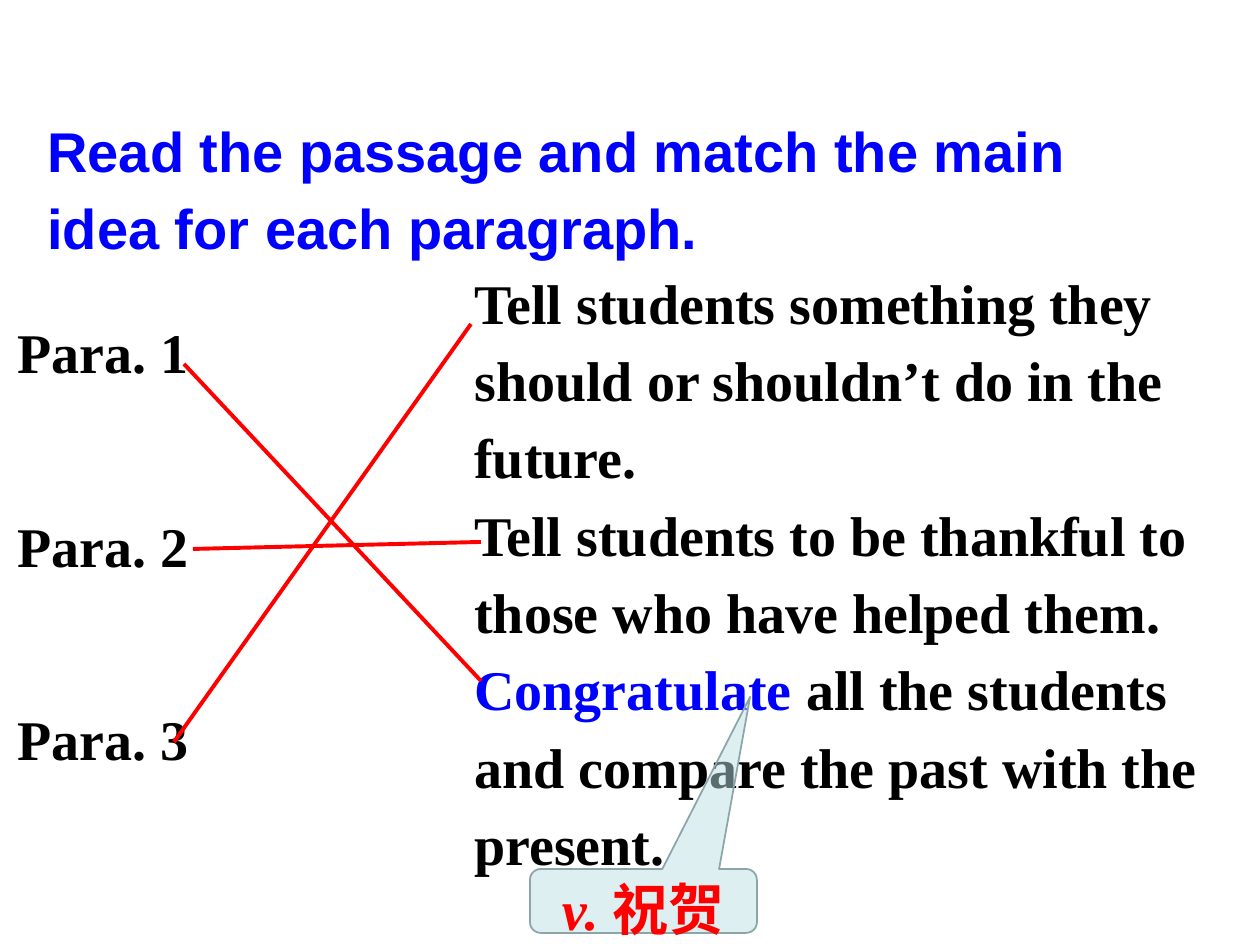
import dataclasses
import typing

import lxml.etree
import pptx
import pptx.dml.color
import pptx.enum.shapes
import pptx.enum.text
import pptx.oxml.ns
import pptx.util

PX = 914400 // 126
BLUE = pptx.dml.color.RGBColor(0x00, 0x00, 0xFF)
BLACK = pptx.dml.color.RGBColor(0x00, 0x00, 0x00)
RED = pptx.dml.color.RGBColor(0xFF, 0x00, 0x00)
PALE_TEAL = pptx.dml.color.RGBColor(0xBB, 0xE0, 0xE3)
GREY_TEAL = pptx.dml.color.RGBColor(0x8A, 0xA6, 0xA8)
ANCHOR = pptx.enum.text.MSO_ANCHOR
SERIF = "Times New Roman"


class TextRun(typing.NamedTuple):
    text: str
    color: pptx.dml.color.RGBColor = BLACK
    italic: bool = False


@dataclasses.dataclass
class TextBlock:
    left: int
    top: int
    width: int
    height: int
    paragraphs: list[list[TextRun]]
    font_name: str = SERIF
    line_spacing: float = 1.15
    gap_points: int = 0
    frame_format: dict = dataclasses.field(default_factory=dict)


class MatchLine(typing.NamedTuple):
    start_x: int
    start_y: int
    end_x: int
    end_y: int


TEXT_BLOCKS = [
    TextBlock(35, 100, 1166, 156,
              [[TextRun("Read the passage and match the main idea for each paragraph.", BLUE)]],
              font_name="Arial"),
    TextBlock(462, 265, 798, 605, [
        [TextRun("Tell students something they should or shouldn’t do in the future.")],
        [TextRun("Tell students to be thankful to those who have helped them.")],
        [TextRun("Congratulate ", BLUE),
         TextRun("all the students and compare the past with the present.")],
    ], frame_format={"vertical_anchor": ANCHOR.MIDDLE}),
    TextBlock(5, 305, 221, 484,
              [[TextRun(f"Para. {number}")] for number in (1, 2, 3)],
              line_spacing=1.0, gap_points=72, frame_format={"margin_top": 13 * PX}),
]

MATCH_LINES = [
    MatchLine(184, 364, 481, 681),
    MatchLine(193, 549, 481, 542),
    MatchLine(174, 742, 471, 324),
]


def set_attributes(target: typing.Any, values: dict) -> None:
    for name, value in values.items():
        setattr(target, name, value)


def write_text(text_frame, block: TextBlock, paragraph_format: dict) -> None:
    set_attributes(text_frame, {"word_wrap": True, **block.frame_format})
    for index, runs in enumerate(block.paragraphs):
        paragraph = text_frame.add_paragraph() if index else text_frame.paragraphs[0]
        set_attributes(paragraph, {"line_spacing": block.line_spacing, **paragraph_format})
        if index and block.gap_points:
            paragraph.space_before = pptx.util.Pt(block.gap_points)
        for text_run in runs:
            run = paragraph.add_run()
            run.text = text_run.text
            set_attributes(run.font, {
                "name": block.font_name,
                "size": pptx.util.Pt(32),
                "bold": True,
                "italic": text_run.italic,
            })
            run.font.color.rgb = text_run.color


def draw_text_block(slide, block: TextBlock) -> None:
    shape = slide.shapes.add_textbox(
        block.left * PX, block.top * PX, block.width * PX, block.height * PX)
    write_text(shape.text_frame, block, {})


def draw_match_line(slide, line: MatchLine) -> None:
    connector = slide.shapes.add_connector(
        pptx.enum.shapes.MSO_CONNECTOR.STRAIGHT, *(length * PX for length in line))
    connector.line.color.rgb = RED
    connector.line.width = pptx.util.Pt(2.25)
    lxml.etree.SubElement(connector._element.spPr, pptx.oxml.ns.qn("a:effectLst"))


def draw_callout(slide, block: TextBlock) -> None:
    shape = slide.shapes.add_shape(
        pptx.enum.shapes.MSO_SHAPE.ROUNDED_RECTANGULAR_CALLOUT,
        block.left * PX, block.top * PX, block.width * PX, block.height * PX)
    for index, value in enumerate((0.47, -3.19, 0.17)):
        shape.adjustments[index] = value
    shape.shadow.inherit = False
    shape.fill.solid()
    shape.fill.fore_color.rgb = PALE_TEAL
    color = shape._element.spPr.find(".//" + pptx.oxml.ns.qn("a:srgbClr"))
    lxml.etree.SubElement(color, pptx.oxml.ns.qn("a:alpha"), val="49000")
    shape.line.color.rgb = GREY_TEAL
    shape.line.width = pptx.util.Pt(1)
    write_text(shape.text_frame, block, {"alignment": pptx.enum.text.PP_ALIGN.CENTER})


def main() -> None:
    presentation = pptx.Presentation()
    presentation.slide_width = 1260 * PX
    presentation.slide_height = 945 * PX
    slide = presentation.slides.add_slide(presentation.slide_layouts[6])
    for block in TEXT_BLOCKS:
        draw_text_block(slide, block)
    for line in MATCH_LINES:
        draw_match_line(slide, line)
    draw_callout(slide, TextBlock(
        530, 869, 227, 64,
        [[TextRun("v. ", RED, italic=True), TextRun("祝贺", RED)]],
        line_spacing=1.2, frame_format={"vertical_anchor": ANCHOR.MIDDLE}))
    presentation.save("out.pptx")


if __name__ == "__main__":
    main()
